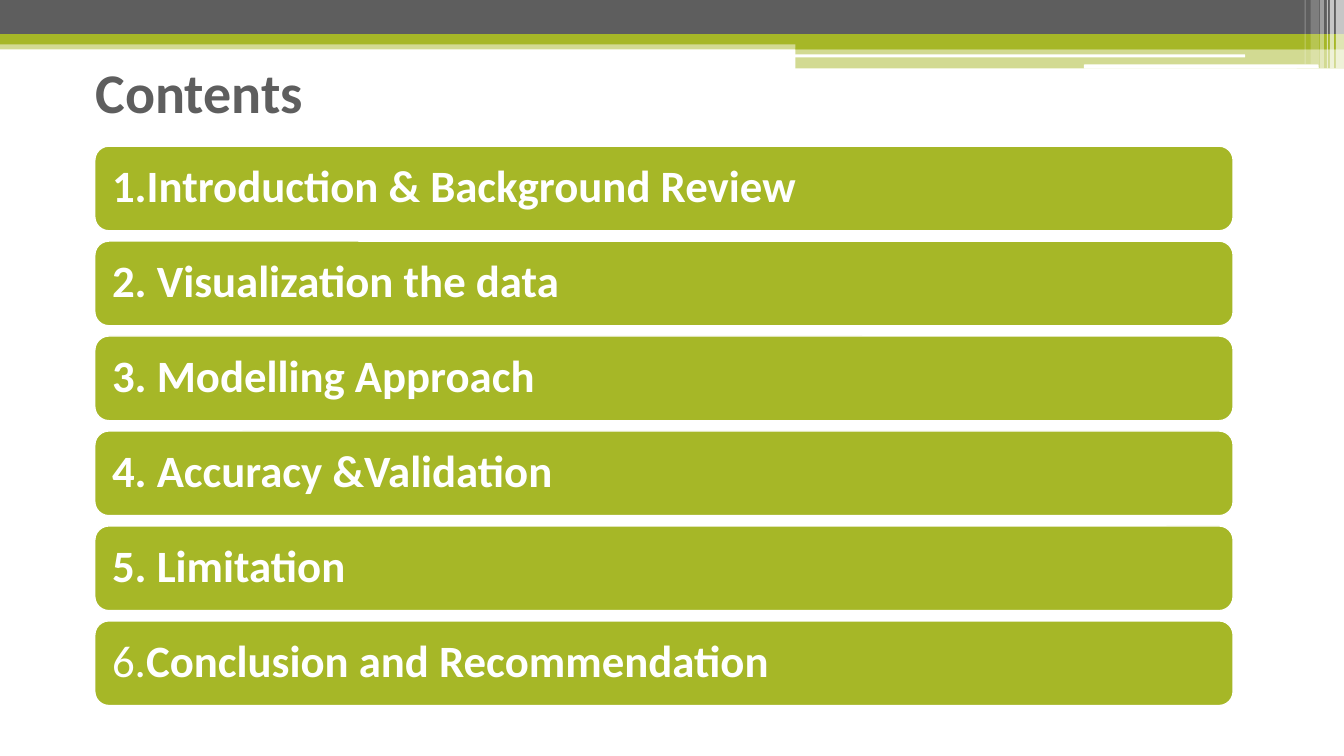
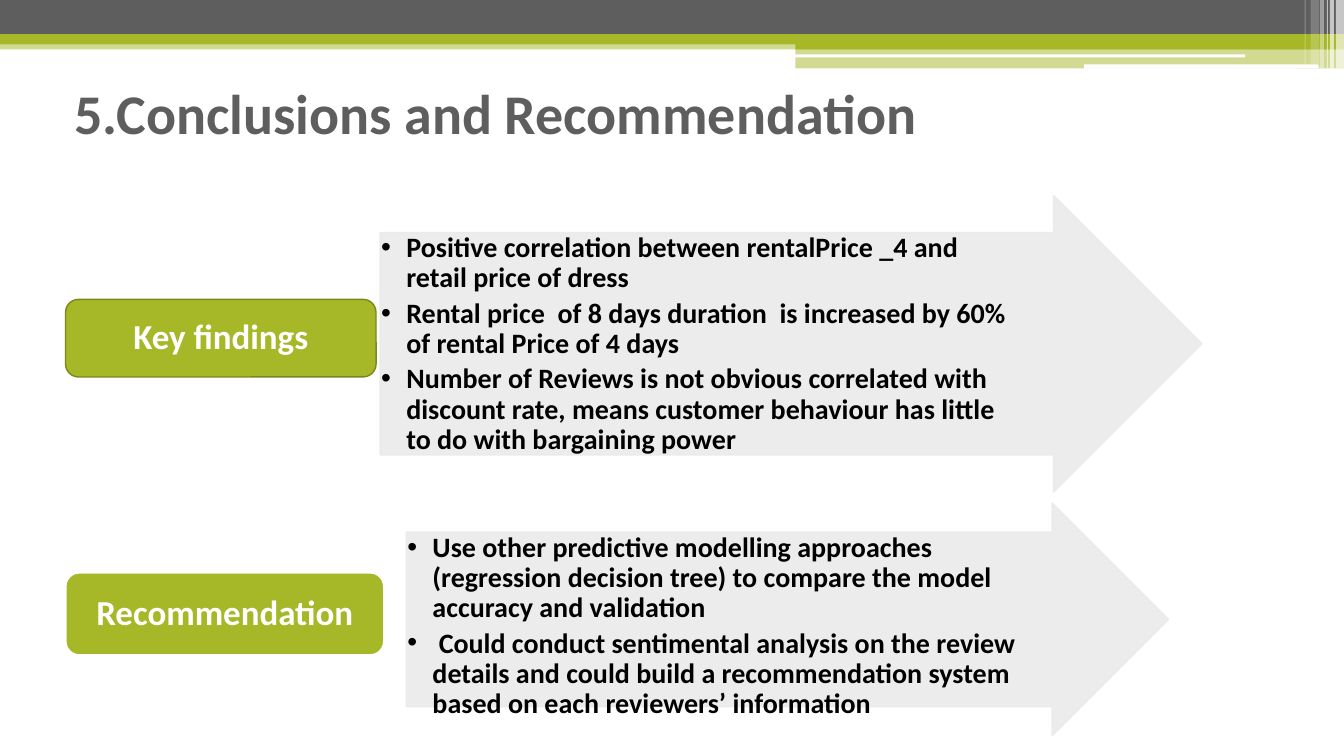
"""Build the contents slide and the conclusions slide of a deck."""
from lxml import etree
from pptx import Presentation
from pptx.dml.color import RGBColor
from pptx.enum.shapes import MSO_SHAPE as SHAPE
from pptx.enum.text import MSO_ANCHOR as ANCHOR, PP_ALIGN as ALIGN
from pptx.oxml.ns import qn
from pptx.util import Inches, Pt

COLORS = {"gray": "5E5E5E", "green": "A6B727", "olive": "7B871D",
          "pale": "EAEAEA", "white": "FFFFFF", "black": "000000"}
FONT = "Calibri"

BANDS = [
    (SHAPE.RECTANGLE, (0, 0.4, 13.33, 0.09), "green", 50),
    (SHAPE.RECTANGLE, (0, 0, 13.33, 0.34), "gray", 100),
    (SHAPE.RECTANGLE, (0, 0.34, 13.33, 0.1), "green", 100),
    (SHAPE.RECTANGLE, (7.89, 0.39, 5.44, 0.1), "green", 100),
    (SHAPE.RECTANGLE, (7.89, 0.48, 5.44, 0.2), "green", 50),
    (SHAPE.ROUNDED_RECTANGLE, (7.88, 0.54, 4.47, 0.03), "white", 100),
    (SHAPE.ROUNDED_RECTANGLE, (10.75, 0.64, 2.33, 0.04), "white", 100),
]
STRIPES = [(13.25, 0.08, 0.68, 65), (13.19, 0.04, 0.68, 65), (13.16, 0.01, 0.68, 60),
           (13.09, 0.04, 0.68, 40), (13, 0.08, 0.64, 20), (12.94, 0.01, 0.64, 30)]
BANDS += [(SHAPE.RECTANGLE, (x, 0, w, h), "white", alpha) for x, w, h, alpha in STRIPES]

TITLES = [("Contents", 0.85, 0.32), ("5.Conclusions and Recommendation", 0.64, 0.53)]

CONTENTS = [
    [("1.Introduction & Background Review", True)],
    [("2. Visualization the data", True)],
    [("3. Modelling Approach", True)],
    [("4. Accuracy &Validation", True)],
    [("5. Limitation", True)],
    [("6.", False), ("Conclusion and Recommendation", True)],
]

TOPICS = [
    ("Key findings", (0.65, 2.97, 3.08, 0.77), "olive", 1, (3.77, 1.94, 8.15, 2.94), [
        "Positive correlation between rentalPrice _4 and retail price of dress",
        "Rental price  of 8 days duration  is increased by 60% of rental Price of 4 days",
        "Number of Reviews is not obvious correlated with  discount rate, "
        "means customer behaviour has little to do with bargaining power"]),
    ("Recommendation", (0.65, 5.68, 3.16, 0.82), "white", 1.5, (4.03, 4.99, 7.56, 2.31), [
        "Use other predictive modelling approaches (regression decision tree) "
        "to compare the model accuracy and validation",
        " Could conduct sentimental analysis on the review details and could build "
        "a recommendation system based on each reviewers’ information"]),
]


def add_box(s, kind, at, fill, alpha=100, line=None, width=1):
    sp = s.shapes.add_shape(kind, *map(Inches, at))
    sp.shadow.inherit = False
    sp.fill.solid()
    sp.fill.fore_color.rgb = RGBColor.from_string(COLORS[fill])
    if line:
        sp.line.color.rgb = RGBColor.from_string(COLORS[line])
        sp.line.width = Pt(width)
    else:
        sp.line.fill.background()
    if alpha < 100:
        for clr in sp._element.spPr.iter(qn("a:srgbClr")):
            etree.SubElement(clr, qn("a:alpha"), val=str(alpha * 1000))
    return sp


def add_text(sp, paragraphs, size, color, insets, anchor=ANCHOR.MIDDLE,
             align=ALIGN.LEFT, spacing=0.9, bullet=False):
    tf = sp.text_frame
    tf.word_wrap = True
    tf.vertical_anchor = anchor
    tf.margin_left, tf.margin_top, tf.margin_right, tf.margin_bottom = map(Inches, insets)
    for i, runs in enumerate(paragraphs):
        p = tf.add_paragraph() if i else tf.paragraphs[0]
        p.alignment = align
        p.line_spacing = spacing
        if bullet:
            p.space_after = Pt(3.6)
            pPr = p._p.get_or_add_pPr()
            pPr.set("marL", str(Inches(0.25)))
            pPr.set("indent", str(Inches(-0.25)))
            etree.SubElement(pPr, qn("a:buFont"), typeface="Arial")
            etree.SubElement(pPr, qn("a:buChar"), char="•")
        for text, bold in runs:
            r = p.add_run()
            r.text = text
            r.font.name = FONT
            r.font.size = Pt(size)
            r.font.bold = bold
            r.font.color.rgb = RGBColor.from_string(COLORS[color])


prs = Presentation()
prs.slide_width, prs.slide_height = Inches(13.33), Inches(7.5)

slides = []
for title, left, top in TITLES:
    s = prs.slides.add_slide(prs.slide_layouts[6])
    for kind, at, fill, alpha in BANDS:
        add_box(s, kind, at, fill, alpha)
    sp = s.shapes.add_textbox(Inches(left), Inches(top), Inches(12), Inches(1.17))
    add_text(sp, [[(title, True)]], 40, "gray", (0.1, 0.05, 0.1, 0.05), spacing=1.0)
    slides.append(s)
contents, conclusions = slides

for i, runs in enumerate(CONTENTS):
    at = (0.94, 1.45 + 0.942 * i, 11.29, 0.84)
    sp = add_box(contents, SHAPE.ROUNDED_RECTANGLE, at, "green", line="white")
    add_text(sp, [runs], 32, "white", (0.13, 0.13, 0.13, 0.13))

for label, label_at, line, width, arrow_at, points in TOPICS:
    sp = add_box(conclusions, SHAPE.RIGHT_ARROW, arrow_at, "pale", 90, "pale")
    sp.adjustments[0], sp.adjustments[1] = 0.75, 0.5
    add_text(sp, [[(point, True)] for point in points], 20, "black",
             (0.01, 0.01, arrow_at[3] / 4, 0.01), ANCHOR.TOP, bullet=True)
    sp = add_box(conclusions, SHAPE.ROUNDED_RECTANGLE, label_at, "green", line=line, width=width)
    add_text(sp, [[(label, True)]], 25, "white", (0.1, 0.05, 0.1, 0.05), align=ALIGN.CENTER)

prs.save("out.pptx")
